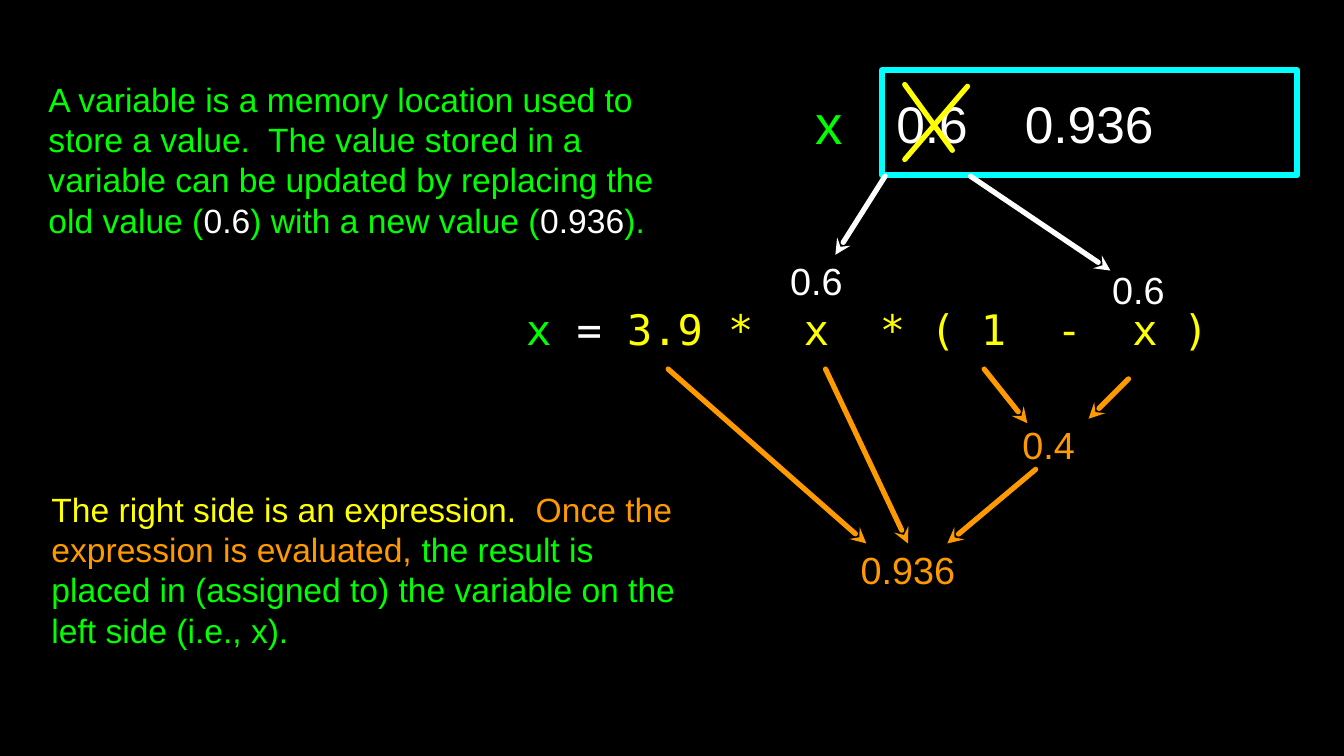
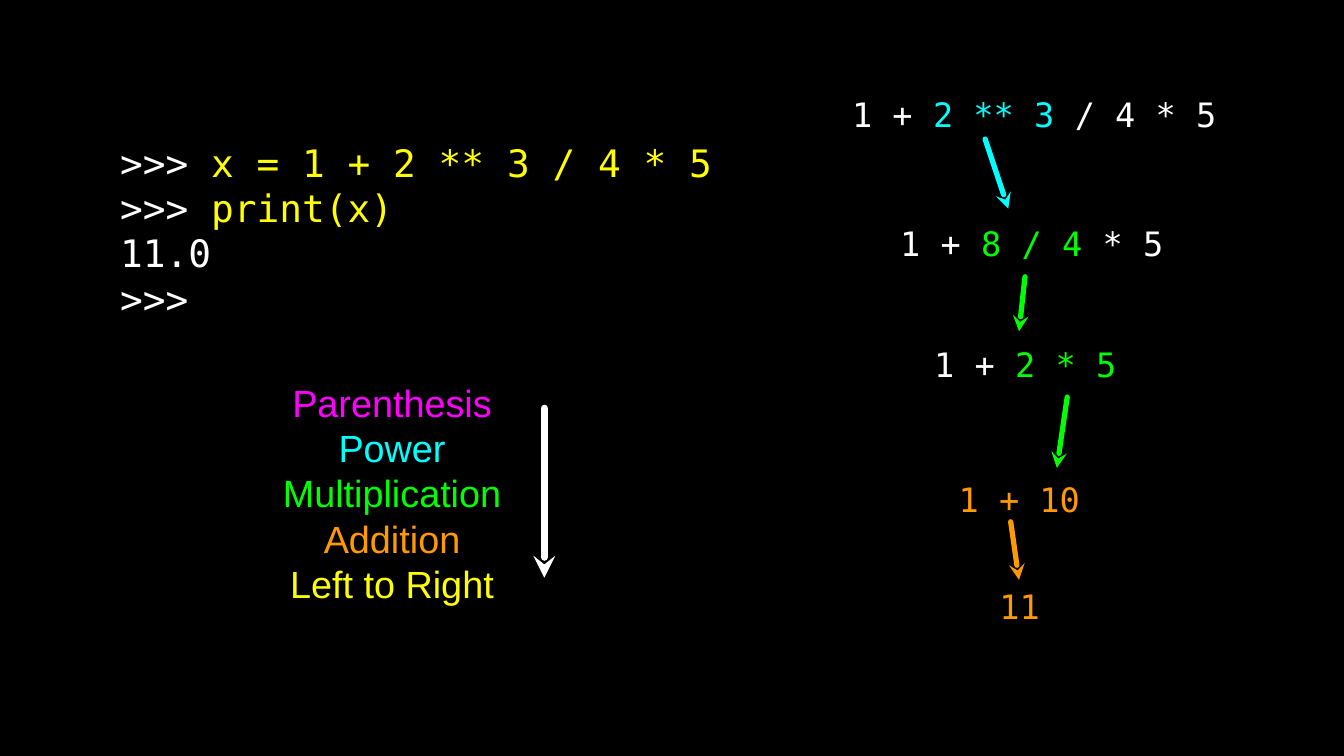
from dataclasses import dataclass

from lxml import etree
from pptx import Presentation
from pptx.dml.color import RGBColor
from pptx.enum.shapes import MSO_CONNECTOR, MSO_SHAPE
from pptx.enum.text import MSO_ANCHOR, PP_ALIGN
from pptx.oxml.ns import qn
from pptx.shapes.shapetree import _BaseGroupShapes as Shapes
from pptx.text.text import TextFrame
from pptx.util import Cm, Pt

LEFT, CENTER = PP_ALIGN.LEFT, PP_ALIGN.CENTER
MIDDLE = MSO_ANCHOR.MIDDLE
RECT = MSO_SHAPE.RECTANGLE
STRAIGHT = MSO_CONNECTOR.STRAIGHT

BLACK = RGBColor(0x00, 0x00, 0x00)
WHITE = RGBColor(0xFF, 0xFF, 0xFF)
GREEN = RGBColor(0x00, 0xFF, 0x00)
YELLOW = RGBColor(0xFF, 0xFF, 0x00)
ORANGE = RGBColor(0xFF, 0x99, 0x00)
CYAN = RGBColor(0x00, 0xFF, 0xFF)
PINK = RGBColor(0xFF, 0x00, 0xFF)

SANS, MONO = "Arial", "DejaVu Sans Mono"
LEADING = 1.2

Part = tuple[str, RGBColor]
Point = tuple[float, float]


@dataclass
class Label:
    """A block of text: place in cm, and lines made of coloured parts."""
    left: float
    top: float
    width: float
    height: float
    lines: list[list[Part]]
    size: int
    font: str = SANS
    align: PP_ALIGN = CENTER


@dataclass
class Stroke:
    """A straight line between two points in cm, with or without a head."""
    start: Point
    end: Point
    color: RGBColor
    width: float = 5
    head: bool = True


def fill_text(frame: TextFrame, label: Label) -> None:
    """Write the label's lines into a frame and format them."""
    frame.word_wrap = True
    frame.vertical_anchor = MIDDLE
    frame.margin_left = frame.margin_right = 0
    frame.margin_top = frame.margin_bottom = 0
    for i, parts in enumerate(label.lines):
        para = frame.add_paragraph() if i else frame.paragraphs[0]
        para.alignment = label.align
        para.line_spacing = Pt(label.size * LEADING)
        for text, color in parts:
            run = para.add_run()
            run.text = text
            run.font.name = label.font
            run.font.size = Pt(label.size)
            run.font.color.rgb = color


def add_label(shapes: Shapes, label: Label) -> None:
    """Draw a label as a text box."""
    box = shapes.add_textbox(Cm(label.left), Cm(label.top),
                             Cm(label.width), Cm(label.height))
    fill_text(box.text_frame, label)


def add_stroke(shapes: Shapes, stroke: Stroke) -> None:
    """Draw a round-ended line, with a stealth head at its end if asked."""
    ends = [Cm(n) for n in (*stroke.start, *stroke.end)]
    line = shapes.add_connector(STRAIGHT, *ends)
    line.line.color.rgb = stroke.color
    line.line.width = Pt(stroke.width)
    props = line.line._get_or_add_ln()
    props.set("cap", "rnd")
    etree.SubElement(props, qn("a:round"))
    if stroke.head:
        etree.SubElement(props, qn("a:tailEnd"), type="stealth")
    etree.SubElement(line._element.spPr, qn("a:effectLst"))


def add_cell(shapes: Shapes, label: Label, inset: float, tab: float) -> None:
    """Draw the framed memory cell, its two values set apart by a tab."""
    cell = shapes.add_shape(RECT, Cm(label.left), Cm(label.top),
                            Cm(label.width), Cm(label.height))
    cell.shadow.inherit = False
    cell.fill.background()
    cell.line.color.rgb = CYAN
    cell.line.width = Pt(6)
    etree.SubElement(cell.line._get_or_add_ln(), qn("a:round"))
    fill_text(cell.text_frame, label)
    cell.text_frame.margin_left = Cm(inset)
    props = cell.text_frame.paragraphs[0]._p.get_or_add_pPr()
    stops = etree.SubElement(props, qn("a:tabLst"))
    etree.SubElement(stops, qn("a:tab"), pos=str(Cm(tab)), algn="l")


def add_value(shapes: Shapes, left: float, top: float, width: float,
              text: str, color: RGBColor) -> None:
    """Draw one number of the evaluation tree."""
    add_label(shapes, Label(left, top, width, 1.73, [[(text, color)]], 36))


def draw_assign(shapes: Shapes) -> None:
    """Slide 1: how an assignment updates a variable."""
    add_label(shapes, Label(
        17.68, 9.45, 24.56, 3.2,
        [[("x ", GREEN), ("= ", WHITE), ("3.9 *  x  * ( 1  -  x )", YELLOW)]],
        40, MONO, LEFT))
    add_cell(shapes, Label(29.64, 2.36, 13.94, 3.53,
                           [[("0.6\t0.936", WHITE)]], 49, align=LEFT),
             inset=0.48, tab=4.32)
    add_label(shapes, Label(27.25, 2.92, 1.24, 2.39, [[("x", GREEN)]], 52))

    add_value(shapes, 33.76, 14.05, 2.95, "0.4", ORANGE)
    add_value(shapes, 28.09, 18.26, 4.83, "0.936", ORANGE)
    add_value(shapes, 26.19, 8.56, 2.49, "0.6", WHITE)
    add_value(shapes, 36.78, 8.86, 2.95, "0.6", WHITE)

    add_label(shapes, Label(
        1.73, 16.26, 21.29, 5.74,
        [[("The right side is an expression.  ", YELLOW),
          ("Once the expression is evaluated, ", ORANGE),
          ("the result is placed in (assigned to) the variable on the "
           "left side (i.e., x).", GREEN)]], 32, align=LEFT))
    add_label(shapes, Label(
        1.63, 2.36, 20.85, 5.99,
        [[("A variable is a memory location used to store a value.  The "
           "value stored in a variable can be updated by replacing the "
           "old value (", GREEN),
          ("0.6", WHITE), (") with a new value (", GREEN),
          ("0.936", WHITE), (").", GREEN)]], 32, align=LEFT))

    strokes = [
        Stroke((34.8, 15.77), (31.83, 18.26), ORANGE),
        Stroke((37.92, 12.73), (36.58, 14.07), ORANGE),
        Stroke((33.07, 12.4), (34.52, 14.22), ORANGE),
        Stroke((22.45, 12.4), (29.11, 18.26), ORANGE),
        Stroke((27.74, 12.4), (30.51, 18.26), ORANGE),
        Stroke((32.51, 2.9), (30.4, 5.36), YELLOW, head=False),
        Stroke((30.4, 2.84), (32, 5.05), YELLOW, head=False),
        Stroke((29.74, 5.92), (28.07, 8.56), WHITE),
        Stroke((32.61, 5.92), (37.31, 9.09), WHITE),
    ]
    for stroke in strokes:
        add_stroke(shapes, stroke)


def draw_order(shapes: Shapes) -> None:
    """Slide 2: the order in which operators are applied."""
    steps = [
        (28.63, 2.74, 12.85,
         [("1 + ", WHITE), ("2 ** 3", CYAN), (" / 4 * 5", WHITE)]),
        (30.25, 7.06, 11.23,
         [("1 + ", WHITE), ("8 / 4", GREEN), (" * 5", WHITE)]),
        (31.39, 11.13, 8.94, [("1 + ", WHITE), ("2 * 5", GREEN)]),
        (32.21, 15.67, 6.27, [("1 + 10", ORANGE)]),
        (33.58, 19.25, 2.01, [("11", ORANGE)]),
    ]
    for left, top, width, parts in steps:
        add_label(shapes,
                  Label(left, top, width, 2.21, [parts], 32, MONO, LEFT))

    strokes = [
        Stroke((33.1, 4.67), (33.88, 7.01), CYAN),
        Stroke((34.44, 9.3), (34.24, 11.13), GREEN),
        Stroke((35.86, 13.34), (35.51, 15.72), GREEN),
        Stroke((33.96, 17.53), (34.24, 19.48), ORANGE),
    ]
    for stroke in strokes:
        add_stroke(shapes, stroke)

    prompt = (">>> ", WHITE)
    add_label(shapes, Label(
        4.04, 3.63, 20.42, 8.2,
        [[prompt, ("x = 1 + 2 ** 3 / 4 * 5", YELLOW)],
         [prompt, ("print(x)", YELLOW)],
         [("11.0", WHITE)],
         [(">>>", WHITE)]], 36, MONO, LEFT))

    rules = [("Parenthesis", PINK), ("Power", CYAN),
             ("Multiplication", GREEN), ("Addition", ORANGE),
             ("Left to Right", YELLOW)]
    group = shapes.add_group_shape().shapes
    add_label(group, Label(9.02, 12.37, 8.31, 8.38,
                           [[rule] for rule in rules], 36))
    add_stroke(group, Stroke((18.29, 13.72), (18.29, 19.41), WHITE, 7))


def main() -> None:
    """Build the deck and save it."""
    deck = Presentation()
    deck.slide_width, deck.slide_height = Cm(45.16), Cm(25.4)
    back = deck.slide_master.background.fill
    back.solid()
    back.fore_color.rgb = BLACK
    blank = deck.slide_layouts[6]
    for draw in (draw_assign, draw_order):
        draw(deck.slides.add_slide(blank).shapes)
    deck.save("out.pptx")


main()
